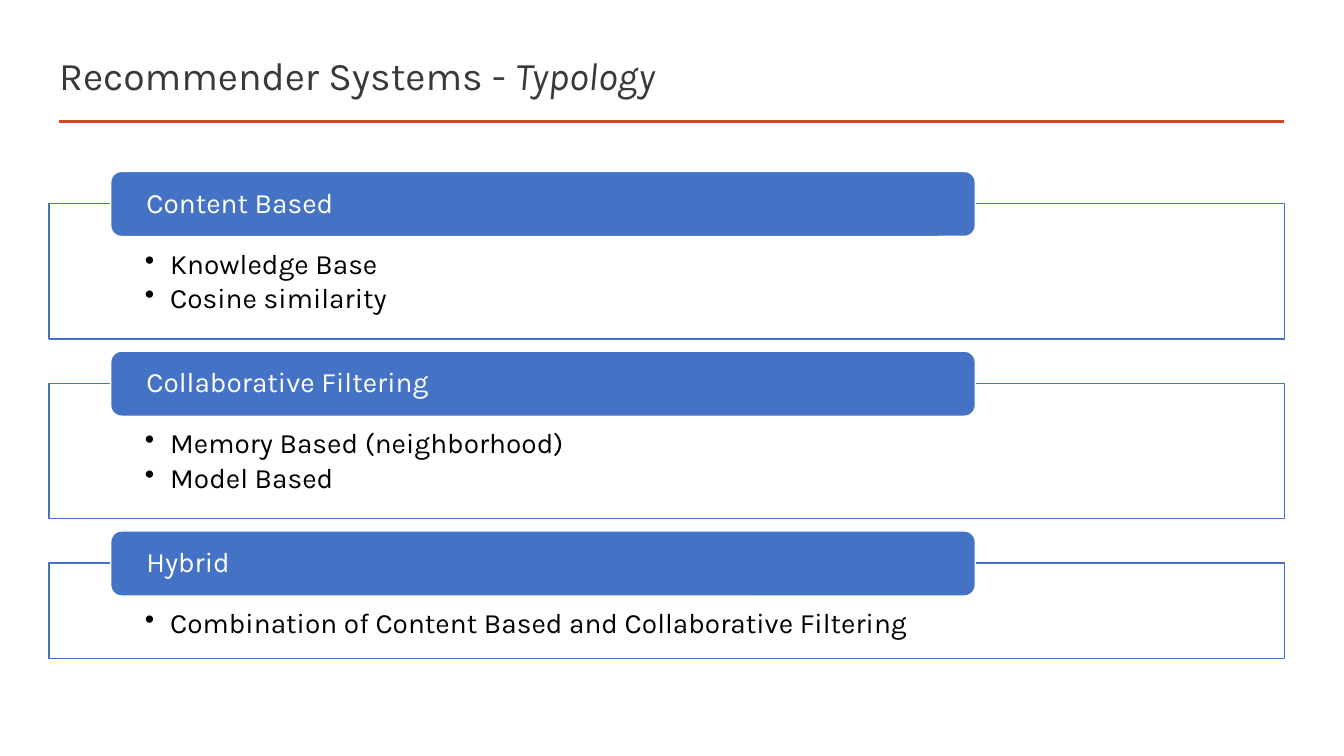
from lxml import etree
from pptx import Presentation
from pptx.dml import color
from pptx.enum import shapes, text
from pptx.oxml import ns
from pptx.util import Cm, Pt

COLORS = {
    "title": "3B3838",
    "rule": "D24726",
    "blue": "4472C4",
    "white": "FFFFFF",
    "black": "000000",
}
FONT = "Karla"
LEFT, WIDTH = 1.24, 31.14
TOP, GAP = 5.13, 1.12
BASE, ROW = 1.41, 1.0
TYPES = [
    ("Content Based", ["Knowledge Base", "Cosine similarity"]),
    ("Collaborative Filtering", ["Memory Based (neighborhood)", "Model Based"]),
    ("Hybrid", ["Combination of Content Based and Collaborative Filtering"]),
]


def rgb(name):
    return color.RGBColor.from_string(COLORS[name])


def add_run(para, words, size, tint, slant=None):
    run = para.add_run()
    run.text = words
    run.font.name = FONT
    run.font.size = Pt(size)
    run.font.italic = slant
    run.font.color.rgb = rgb(tint)


def set_frame(shape, side, top=0, bottom=0, anchor=text.MSO_ANCHOR.MIDDLE):
    frame = shape.text_frame
    frame.word_wrap = True
    frame.vertical_anchor = anchor
    frame.margin_left = frame.margin_right = Cm(side)
    frame.margin_top, frame.margin_bottom = Cm(top), Cm(bottom)
    return frame


def style_para(para, after=0):
    para.alignment = text.PP_ALIGN.LEFT
    para.line_spacing = 0.9
    para.space_after = Pt(after)


def add_bullet(para):
    props = para._p.get_or_add_pPr()
    props.set("marL", str(Cm(0.64)))
    props.set("indent", str(Cm(-0.64)))
    etree.SubElement(props, ns.qn("a:buChar")).set("char", "•")


def add_block(slide, kind, left, top, width, height, fill, line):
    block = slide.shapes.add_shape(kind, Cm(left), Cm(top), Cm(width), Cm(height))
    block.shadow.inherit = False
    block.fill.solid()
    block.fill.fore_color.rgb = rgb(fill)
    block.line.color.rgb = rgb(line)
    block.line.width = Pt(1)
    return block


def add_title(slide):
    box = slide.shapes.add_textbox(Cm(LEFT), Cm(1.19), Cm(WIDTH), Cm(1.55))
    para = set_frame(box, 0.25).paragraphs[0]
    style_para(para)
    add_run(para, "Recommender Systems - ", 28, "title")
    add_run(para, "Typology", 28, "title", True)


def add_rule(slide):
    rule = slide.shapes.add_connector(
        shapes.MSO_CONNECTOR.STRAIGHT, Cm(1.48), Cm(3.07), Cm(32.36), Cm(3.07)
    )
    rule.line.color.rgb = rgb("rule")
    rule.line.width = Pt(2)
    etree.SubElement(rule._element.spPr, ns.qn("a:effectLst"))


def add_panel(slide, top, height, items):
    panel = add_block(
        slide, shapes.MSO_SHAPE.RECTANGLE, LEFT, top, WIDTH, height, "white", "blue"
    )
    tint = panel._element.spPr.find(".//" + ns.qn("a:srgbClr"))
    etree.SubElement(tint, ns.qn("a:alpha")).set("val", "90000")
    frame = set_frame(panel, 2.41, 1.17, 0.41, text.MSO_ANCHOR.TOP)
    for index, item in enumerate(items):
        para = frame.add_paragraph() if index else frame.paragraphs[0]
        para.level = 1
        style_para(para, 3)
        add_bullet(para)
        add_run(para, item, 20, "black")


def add_tab(slide, top, label):
    tab = add_block(
        slide, shapes.MSO_SHAPE.ROUNDED_RECTANGLE,
        2.79, top - 0.81, 21.79, 1.64, "blue", "white",
    )
    para = set_frame(tab, 0.82).paragraphs[0]
    style_para(para)
    add_run(para, label, 20, "white")


def main():
    deck = Presentation()
    deck.slide_width, deck.slide_height = Cm(33.87), Cm(19.05)
    slide = deck.slides.add_slide(deck.slide_layouts[6])
    add_rule(slide)
    add_title(slide)
    top = TOP
    for label, items in TYPES:
        height = BASE + ROW * len(items)
        add_panel(slide, top, height, items)
        add_tab(slide, top, label)
        top += height + GAP
    deck.save("out.pptx")


if __name__ == "__main__":
    main()
